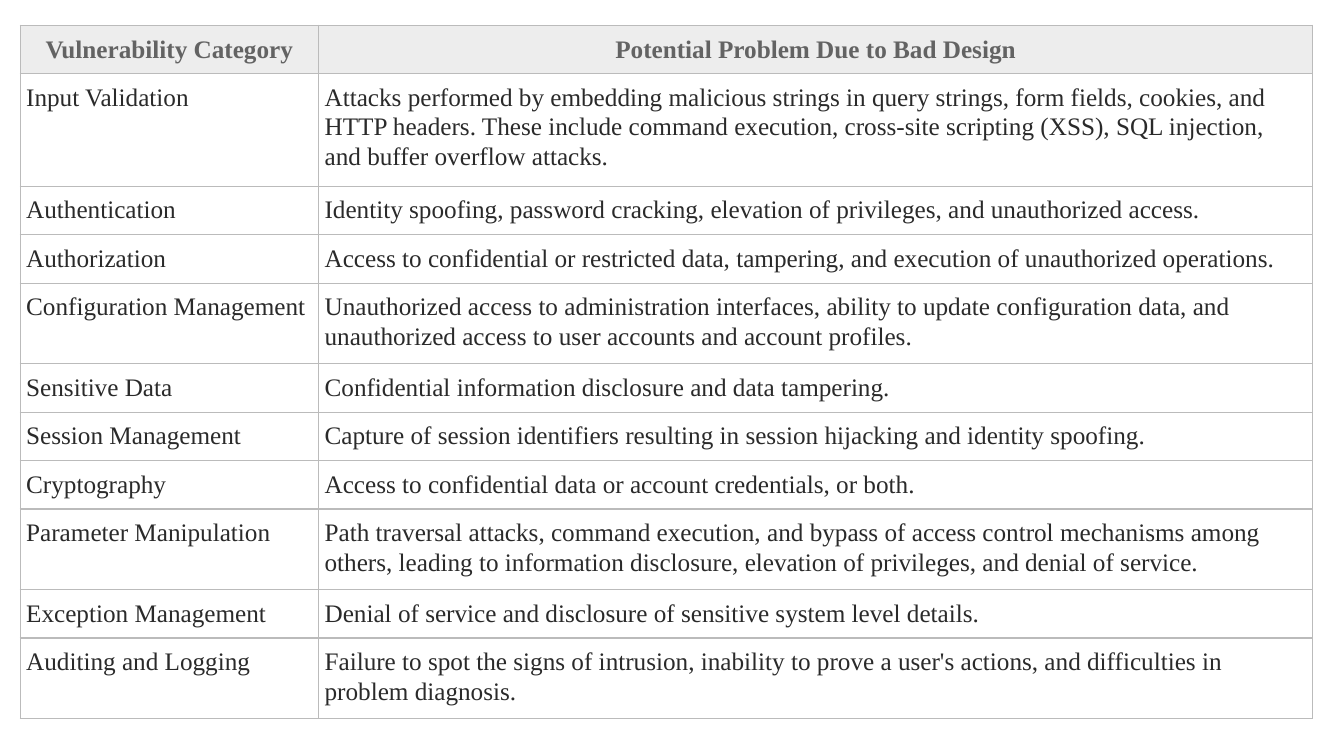
from lxml import etree
from pptx import Presentation
from pptx import util as u
from pptx.dml.color import RGBColor
from pptx.enum import text
from pptx.oxml.ns import qn

HEAD = ("Vulnerability Category", "Potential Problem Due to Bad Design")
# category, problem, lines of text
RISKS = [
    ("Input Validation",
     "Attacks performed by embedding malicious strings in query strings, "
     "form fields, cookies, and HTTP headers. These include command execution, "
     "cross-site scripting (XSS), SQL injection, and buffer overflow attacks.", 3),
    ("Authentication",
     "Identity spoofing, password cracking, elevation of privileges, "
     "and unauthorized access.", 1),
    ("Authorization",
     "Access to confidential or restricted data, tampering, "
     "and execution of unauthorized operations.", 1),
    ("Configuration Management",
     "Unauthorized access to administration interfaces, ability to update "
     "configuration data, and unauthorized access to user accounts "
     "and account profiles.", 2),
    ("Sensitive Data",
     "Confidential information disclosure and data tampering.", 1),
    ("Session Management",
     "Capture of session identifiers resulting in session hijacking "
     "and identity spoofing.", 1),
    ("Cryptography",
     "Access to confidential data or account credentials, or both.", 1),
    ("Parameter Manipulation",
     "Path traversal attacks, command execution, and bypass of access control "
     "mechanisms among others, leading to information disclosure, "
     "elevation of privileges, and denial of service.", 2),
    ("Exception Management",
     "Denial of service and disclosure of sensitive system level details.", 1),
    ("Auditing and Logging",
     "Failure to spot the signs of intrusion, inability to prove a user's "
     "actions, and difficulties in problem diagnosis.", 2),
]

FONT = "Times New Roman"
GREY = RGBColor(0x63, 0x63, 0x63)
INK = RGBColor(0x2A, 0x2A, 0x2A)
SHADE = RGBColor(0xED, 0xED, 0xED)
RULE = RGBColor(0xBB, 0xBB, 0xBB)

WIDE, HIGH = 1333, 750
LEFT, TOP = 20, 25
COLS = (296, 986)
ROW, LINE = 48, 32  # one-line row, and each further line
PAD_X, PAD_Y = 6, 8


def px(n):
    """Turn px, 100 to the inch, into EMU."""
    return u.Inches(n / 100)


def border(cell):
    props = cell._tc.get_or_add_tcPr()
    for i, side in enumerate(("lnL", "lnR", "lnT", "lnB")):
        line = etree.Element(qn(f"a:{side}"), w=str(u.Pt(1)))
        fill = etree.SubElement(line, qn("a:solidFill"))
        etree.SubElement(fill, qn("a:srgbClr"), val=str(RULE))
        props.insert(i, line)


def write(cell, words, color=INK, bold=False, align=text.PP_ALIGN.LEFT,
          anchor=text.MSO_ANCHOR.TOP, shade=None):
    cell.margin_left = cell.margin_right = px(PAD_X)
    cell.margin_top = cell.margin_bottom = px(PAD_Y)
    cell.vertical_anchor = anchor
    if shade is None:
        cell.fill.background()
    else:
        cell.fill.solid()
        cell.fill.fore_color.rgb = shade
    border(cell)
    para = cell.text_frame.paragraphs[0]
    para.alignment = align
    para.line_spacing = 1.07
    run = para.add_run()
    run.text = words
    font = run.font
    font.name, font.size, font.bold = FONT, u.Pt(18), bold
    font.color.rgb = color


def main():
    deck = Presentation()
    deck.slide_width, deck.slide_height = px(WIDE), px(HIGH)
    slide = deck.slides.add_slide(deck.slide_layouts[6])

    highs = [ROW] + [ROW + LINE * (lines - 1) for *_, lines in RISKS]
    table = slide.shapes.add_table(
        len(highs), len(COLS), px(LEFT), px(TOP), px(sum(COLS)), px(sum(highs))
    ).table
    table.first_row = table.horz_banding = False
    for col, wide in zip(table.columns, COLS):
        col.width = px(wide)
    for row, high in zip(table.rows, highs):
        row.height = px(high)

    for c, words in enumerate(HEAD):
        write(table.cell(0, c), words, color=GREY, bold=True, shade=SHADE,
              align=text.PP_ALIGN.CENTER, anchor=text.MSO_ANCHOR.MIDDLE)
    for r, (*pair, _) in enumerate(RISKS, 1):
        for c, words in enumerate(pair):
            write(table.cell(r, c), words)

    deck.save("out.pptx")


if __name__ == "__main__":
    main()
